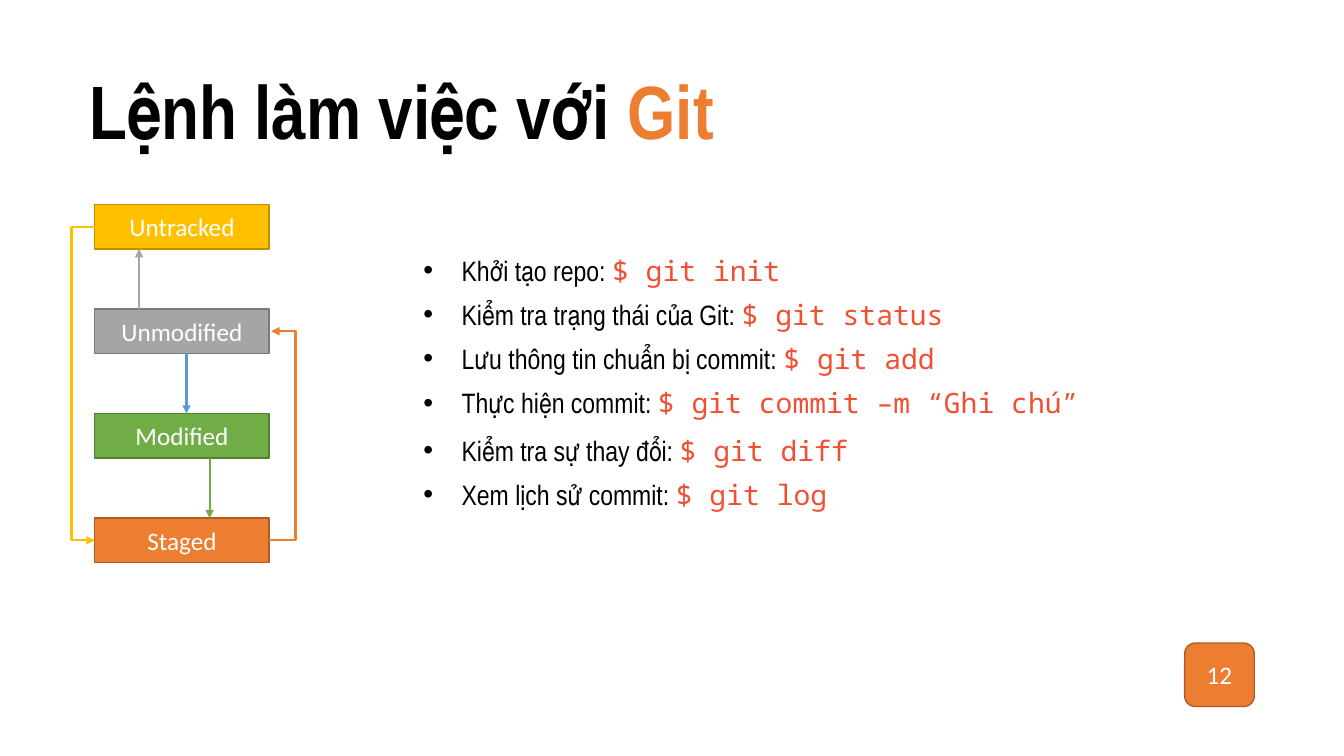
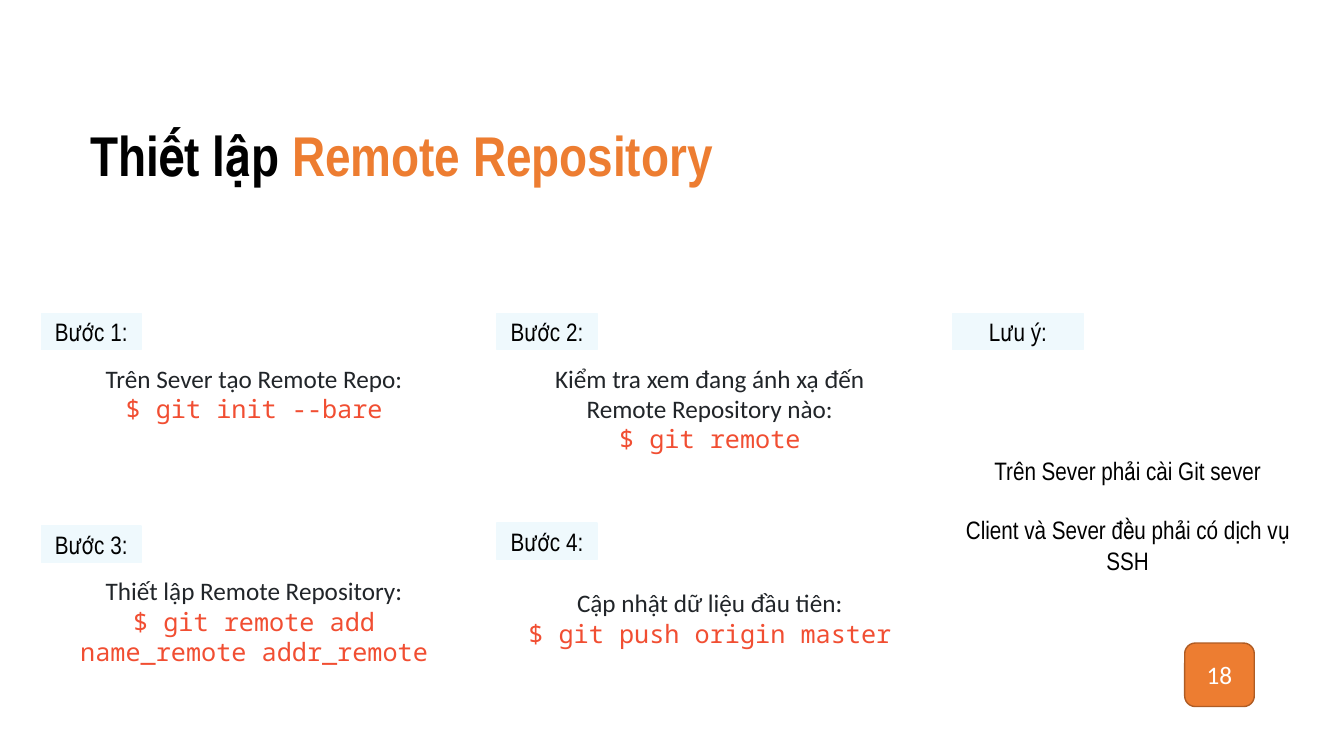
from dataclasses import dataclass

from lxml import etree
from pptx import Presentation
from pptx.dml.color import RGBColor
from pptx.enum.shapes import MSO_CONNECTOR as Connector, MSO_SHAPE as Preset
from pptx.enum.text import MSO_ANCHOR as Anchor, MSO_AUTO_SIZE as AutoSize, PP_ALIGN as Align
from pptx.oxml.ns import qn
from pptx.util import Inches, Pt


@dataclass(frozen=True)
class Theme:
    black: str = "000000"
    white: str = "FFFFFF"
    body: str = "212529"
    orange: str = "ED7D31"
    orange_edge: str = "AF5C24"
    yellow: str = "FFC000"
    yellow_edge: str = "BD8E00"
    gray: str = "A5A5A5"
    gray_edge: str = "7A7A7A"
    green: str = "70AD47"
    green_edge: str = "538035"
    blue: str = "5B9BD5"
    code: str = "F14E32"
    tag: str = "EFF9FD"
    narrow: str = "Arial Narrow"
    sans: str = "Calibri"
    mono: str = "Noto Sans Mono"
    text_size: int = 18
    list_size: int = 20
    edge: float = 1
    arrow: float = 1.5


THEME = Theme()
NARROW = {"name": THEME.narrow, "color": THEME.black}
LABEL = {"name": THEME.sans, "color": THEME.white}
BODY = {"name": THEME.sans, "color": THEME.body}
CODE = {"name": THEME.mono, "color": THEME.code}


def sized(style, size, **extra):
    return {**style, "size": Pt(size), **extra}


def add_run(paragraph, text, style):
    run = paragraph.add_run()
    run.text = text
    for key, value in style.items():
        if key == "color":
            run.font.color.rgb = RGBColor.from_string(value)
        else:
            setattr(run.font, key, value)


def add_text_box(slide, box):
    shape = slide.shapes.add_textbox(*map(Inches, box))
    frame = shape.text_frame
    frame.word_wrap = True
    frame.auto_size = AutoSize.SHAPE_TO_FIT_TEXT
    return frame


def add_box(slide, box, fill, edge, lines, preset=Preset.RECTANGLE, gap=0, bottom=0.05):
    """Filled shape with centred lines, each a (text, style) pair."""
    shape = slide.shapes.add_shape(preset, *map(Inches, box))
    shape.shadow.inherit = False
    shape.fill.solid()
    shape.fill.fore_color.rgb = RGBColor.from_string(fill)
    shape.line.color.rgb = RGBColor.from_string(edge)
    shape.line.width = Pt(THEME.edge)
    frame = shape.text_frame
    frame.word_wrap = True
    frame.vertical_anchor = Anchor.MIDDLE
    frame.margin_bottom = Inches(bottom)
    for index, (text, style) in enumerate(lines):
        paragraph = frame.add_paragraph() if index else frame.paragraphs[0]
        paragraph.alignment = Align.CENTER
        if index and gap:
            paragraph.space_before = Pt(gap)
        add_run(paragraph, text, sized(style, THEME.text_size))


def add_arrow(slide, start, end, color, lane=None):
    """Straight arrow, or an elbow arrow running along the vertical at x = lane."""
    kind = Connector.STRAIGHT if lane is None else Connector.ELBOW
    connector = slide.shapes.add_connector(kind, *map(Inches, start + end))
    connector.line.color.rgb = RGBColor.from_string(color)
    connector.line.width = Pt(THEME.arrow)
    properties = connector._element.spPr
    if lane is not None:
        geometry = properties.find(qn("a:prstGeom"))
        adjusts = geometry.find(qn("a:avLst"))
        if adjusts is None:
            adjusts = etree.SubElement(geometry, qn("a:avLst"))
        bend = round((lane - start[0]) / (end[0] - start[0]) * 100000)
        etree.SubElement(adjusts, qn("a:gd"), name="adj1", fmla=f"val {bend}")
    etree.SubElement(connector.line._get_or_add_ln(), qn("a:tailEnd"), type="triangle")
    etree.SubElement(properties, qn("a:effectLst"))


# Parts shared by the slides
def add_title(slide, box, plain, accent, size):
    paragraph = add_text_box(slide, box).paragraphs[0]
    style = sized(NARROW, size, bold=True)
    add_run(paragraph, plain, style)
    add_run(paragraph, accent, {**style, "color": THEME.orange})


def add_page_number(slide, number):
    add_box(slide, (11.75, 6.38, 0.69, 0.63), THEME.orange, THEME.orange_edge,
            [(str(number), LABEL)], Preset.ROUNDED_RECTANGLE)


# File states and the moves between them
def add_state_diagram(slide, left, top, width=1.73, height=0.44, pitch=1.037):
    states = [
        ("Untracked", THEME.yellow, THEME.yellow_edge),
        ("Unmodified", THEME.gray, THEME.gray_edge),
        ("Modified", THEME.green, THEME.green_edge),
        ("Staged", THEME.orange, THEME.orange_edge),
    ]
    tops = [top + pitch * row for row in range(len(states))]
    for y, (name, fill, edge) in zip(tops, states):
        add_box(slide, (left, y, width, height), fill, edge, [(name, LABEL)])

    middles = [y + height / 2 for y in tops]
    bottoms = [y + height for y in tops]
    right = left + width
    add_arrow(slide, (left + 0.02, middles[0]), (left, middles[3]), THEME.yellow, left - 0.23)
    for offset, start, end, color in [
        (0.44, tops[1], bottoms[0], THEME.gray),
        (0.91, bottoms[1], tops[2], THEME.blue),
        (1.14, bottoms[2], tops[3], THEME.green),
    ]:
        add_arrow(slide, (left + offset, start), (left + offset, end), color)
    add_arrow(slide, (right, middles[3]), (right + 0.02, middles[1]), THEME.orange, right + 0.26)


# Bulleted commands, in groups set slightly apart
def add_command_list(slide, box, groups):
    frame = add_text_box(slide, box)
    indent = Inches(0.38)
    paragraph = None
    for group in groups:
        for index, (text, command) in enumerate(group):
            first = paragraph is None
            paragraph = frame.paragraphs[0] if first else frame.add_paragraph()
            paragraph.line_spacing = Pt(31.5)
            if index == 0 and not first:
                paragraph.space_before = Pt(2.5)
            properties = paragraph._p.get_or_add_pPr()
            properties.set("marL", str(indent))
            properties.set("indent", str(-indent))
            etree.SubElement(properties, qn("a:buFont"), typeface="Arial")
            etree.SubElement(properties, qn("a:buChar"), char="•")
            add_run(paragraph, text, sized(NARROW, THEME.list_size))
            add_run(paragraph, command, sized(CODE, THEME.list_size))


# Card with a tag in its top left corner
def add_card(slide, box, tag, lines, tag_width=0.99, **layout):
    add_box(slide, box, THEME.white, THEME.white, lines, **layout)
    add_box(slide, (*box[:2], tag_width, 0.36), THEME.tag, THEME.tag, [(tag, NARROW)])


def build_commands_slide(slide):
    add_title(slide, (0.79, 0.58, 6.44, 1.01), "Lệnh làm việc với ", "Git", 54)
    add_command_list(slide, (4.1, 2.36, 7.65, 2.78), [
        [
            ("Khởi tạo repo: ", "$ git init"),
            ("Kiểm tra trạng thái của Git: ", "$ git status"),
            ("Lưu thông tin chuẩn bị commit: ", "$ git add"),
            ("Thực hiện commit: ", "$ git commit –m “Ghi chú”"),
        ],
        [
            ("Kiểm tra sự thay đổi: ", "$ git diff"),
            ("Xem lịch sử commit: ", "$ git log"),
        ],
    ])
    add_state_diagram(slide, 0.94, 2.03)
    add_page_number(slide, 12)


def build_remote_slide(slide):
    add_title(slide, (0.8, 1.15, 6.83, 0.77), "Thiết lập ", "Remote Repository", 40)
    columns, top, size = (0.41, 4.93, 9.45), 3.11, (4.22, 1.88)
    steps = [
        (columns[0], top, ["Trên Sever tạo Remote Repo:"], "$ git init --bare", 0.35),
        (columns[1], top, ["Kiểm tra xem đang ánh xạ đến", "Remote Repository nào:"],
         "$ git remote", 0.05),
        (columns[0], 5.22, ["Thiết lập Remote Repository:"],
         "$ git remote add name_remote addr_remote", 0.05),
        (columns[1], 5.19, ["Cập nhật dữ liệu đầu tiên:"], "$ git push origin master", 0.05),
    ]
    for number, (left, y, texts, command, bottom) in enumerate(steps, 1):
        lines = [(text, BODY) for text in texts] + [(command, CODE)]
        add_card(slide, (left, y, *size), f"Bước {number}:", lines, bottom=bottom)
    notes = ["Trên Sever phải cài Git sever", "Client và Sever đều phải có dịch vụ SSH"]
    add_card(slide, (columns[2], top, 3.47, 4), "Lưu ý:",
             [(text, NARROW) for text in notes], tag_width=1.29, gap=21)
    add_page_number(slide, 18)


def main():
    presentation = Presentation()
    presentation.slide_width = Inches(13.33)
    presentation.slide_height = Inches(7.5)
    blank = presentation.slide_layouts[6]
    for build in (build_commands_slide, build_remote_slide):
        build(presentation.slides.add_slide(blank))
    presentation.save("out.pptx")


if __name__ == "__main__":
    main()
